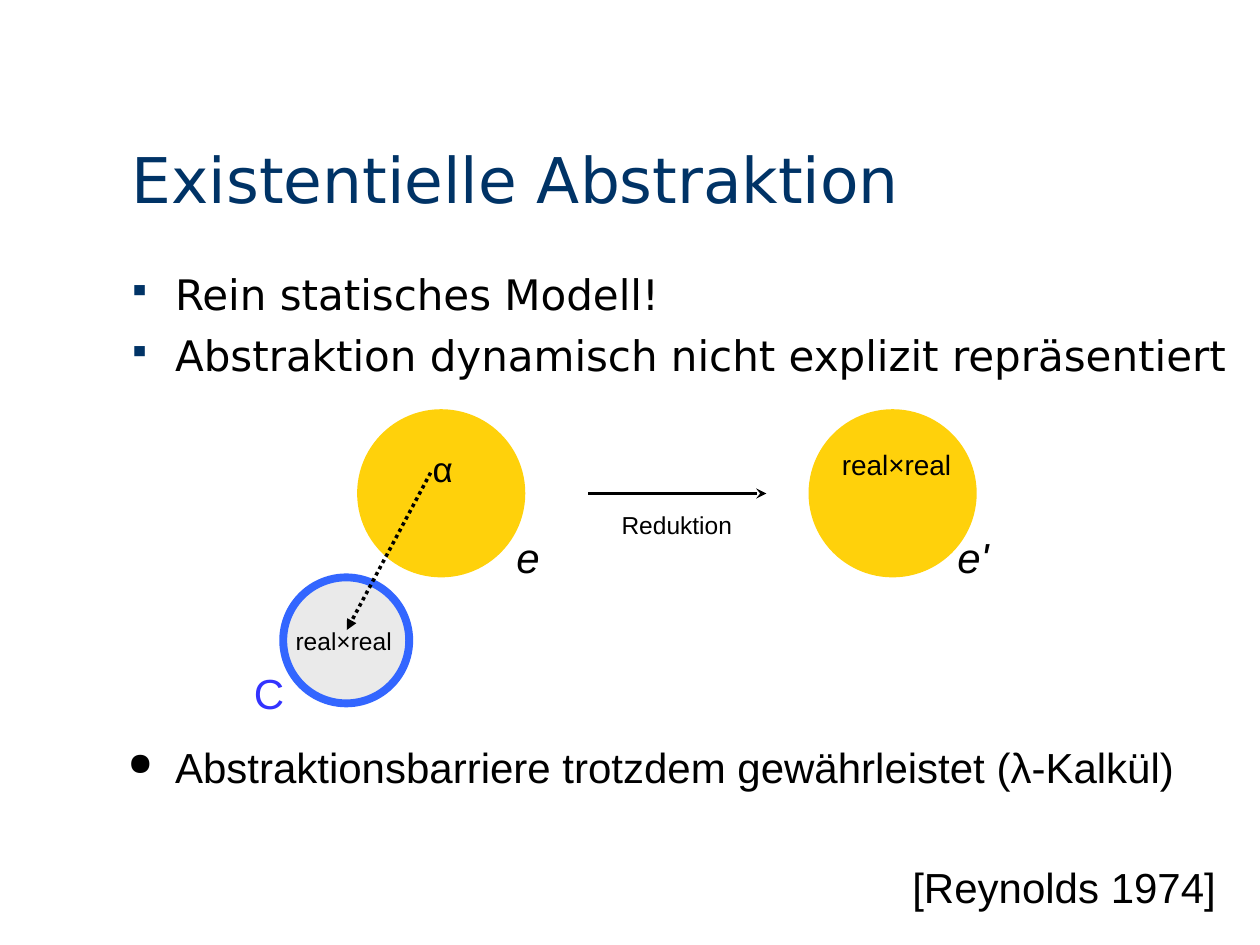
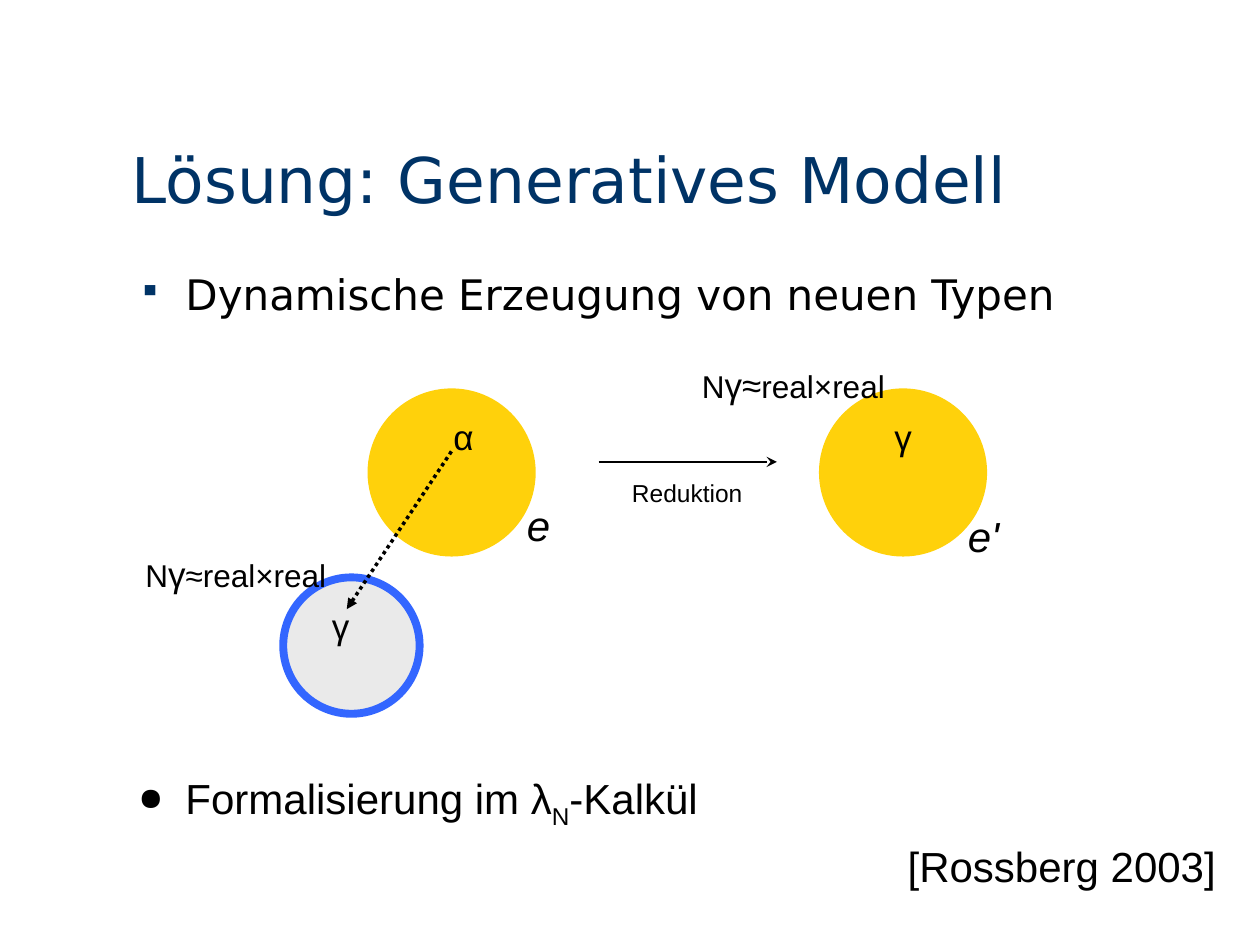
from dataclasses import dataclass

import pptx
import pptx.dml.color
import pptx.enum.dml
import pptx.enum.shapes
import pptx.enum.text
import pptx.oxml
import pptx.oxml.ns
import pptx.util
from pptx.util import Cm

NAVY = "003366"
BLACK = "000000"
YELLOW = "FFD10B"
GREY = "EAEAEA"
BARRIER_BLUE = "3366FF"
CONTEXT_BLUE = "3333FF"
HEADING_FONT = "DejaVu Sans"
DIAGRAM_FONT = "Arial"
TERM_SIZE = 3.39
LINE = pptx.enum.dml.MSO_LINE


@dataclass
class Run:
    text: str
    size: int = 24
    color: str = BLACK
    font: str = DIAGRAM_FONT
    italic: bool = False
    subscript: bool = False


def rgb(hex_color):
    return pptx.dml.color.RGBColor.from_string(hex_color)


def drawing_element(tag, **attributes):
    element = pptx.oxml.parse_xml(f"<a:{tag} {pptx.oxml.ns.nsdecls('a')}/>")
    for key, value in attributes.items():
        element.set(key, value)
    return element


def add_runs(paragraph, runs):
    for part in runs:
        run = paragraph.add_run()
        run.text = part.text
        run.font.size = pptx.util.Pt(part.size)
        run.font.name = part.font
        run.font.italic = part.italic
        run.font.color.rgb = rgb(part.color)
        if part.subscript:
            run.font._element.set("baseline", "-25000")


def add_text_frame(slide, left, top, width, height):
    box = slide.shapes.add_textbox(Cm(left), Cm(top), Cm(width), Cm(height))
    box.text_frame.word_wrap = True
    return box.text_frame


def add_label(slide, left, top, width, *runs):
    frame = add_text_frame(slide, left, top, width, 1.1)
    add_runs(frame.paragraphs[0], runs)


def add_title(slide, title):
    frame = add_text_frame(slide, 2.41, 1.19, 22.68, 3.3)
    frame.vertical_anchor = pptx.enum.text.MSO_ANCHOR.BOTTOM
    add_runs(frame.paragraphs[0], [Run(title, 36, NAVY, HEADING_FONT)])


def add_bullet(paragraph, char, color, runs):
    properties = paragraph._p.get_or_add_pPr()
    properties.set("marL", str(Cm(0.95)))
    properties.set("indent", str(-Cm(0.95)))
    bullet_color = drawing_element("buClr")
    bullet_color.append(drawing_element("srgbClr", val=color))
    properties.append(bullet_color)
    properties.append(drawing_element("buSzPct", val="75000"))
    properties.append(drawing_element("buChar", char=char))
    add_runs(paragraph, runs)


def add_statements(slide, left, width, height, statements):
    frame = add_text_frame(slide, left, 5.29, width, height)
    for index, statement in enumerate(statements):
        paragraph = frame.add_paragraph() if index else frame.paragraphs[0]
        if index:
            paragraph.space_before = pptx.util.Pt(6)
        add_bullet(paragraph, "▪", NAVY, [Run(statement, font=HEADING_FONT)])


def add_conclusion(slide, box, runs, source, source_gap):
    """Closing bullet with the right-aligned literature source below it."""
    frame = add_text_frame(slide, *box)
    add_bullet(frame.paragraphs[0], "●", BLACK, runs)
    citation = frame.add_paragraph()
    citation.alignment = pptx.enum.text.PP_ALIGN.RIGHT
    citation.space_before = pptx.util.Pt(source_gap)
    add_runs(citation, [Run(source)])


def add_circle(slide, left, top, diameter, fill, outline=None):
    circle = slide.shapes.add_shape(
        pptx.enum.shapes.MSO_SHAPE.OVAL,
        Cm(left), Cm(top), Cm(diameter), Cm(diameter))
    circle.shadow.inherit = False
    circle.fill.solid()
    circle.fill.fore_color.rgb = rgb(fill)
    if outline:
        circle.line.color.rgb = rgb(outline)
        circle.line.width = pptx.util.Pt(4.5)
    else:
        circle.line.fill.background()


def add_arrow(slide, start, end, width, head, dash=None):
    arrow = slide.shapes.add_connector(
        pptx.enum.shapes.MSO_CONNECTOR.STRAIGHT,
        *(Cm(value) for value in (*start, *end)))
    arrow.line.color.rgb = rgb(BLACK)
    arrow.line.width = pptx.util.Pt(width)
    if dash:
        arrow.line.dash_style = dash
    arrow.line._get_or_add_ln().append(drawing_element("tailEnd", type=head))
    arrow._element.spPr.append(drawing_element("effectLst"))


def add_reference(slide, start, end):
    """Dotted arrow from the type variable to its hidden representation."""
    add_arrow(slide, start, end, 2, "triangle", LINE.ROUND_DOT)


def add_reduction(slide, left, term_top, arrow_y):
    """Term e, the reduction arrow and the reduced term e'."""
    for term_left in (left, left + 9.1):
        add_circle(slide, term_left, term_top, TERM_SIZE, YELLOW)
    add_arrow(slide, (left + 4.66, arrow_y), (left + 8.25, arrow_y),
              1.5, "stealth")
    add_label(slide, left + 5.08, arrow_y + 0.21, 2.75, Run("Reduktion", 14))
    add_label(slide, left + 2.96, arrow_y + 0.64, 1.27, Run("e", italic=True))
    add_label(slide, left + 11.85, term_top + 2.33, 1.27,
              Run("e'", italic=True))


def build_existential_slide(slide):
    add_title(slide, "Existentielle Abstraktion")
    add_statements(slide, 2.33, 23.07, 2.75, [
        "Rein statisches Modell!",
        "Abstraktion dynamisch nicht explizit repräsentiert"])
    add_conclusion(
        slide, (2.33, 14.82, 22.43, 4.23),
        [Run("Abstraktionsbarriere trotzdem gewährleistet (λ-Kalkül)")],
        "[Reynolds 1974]", 39.6)
    add_circle(slide, 5.71, 11.64, 2.54, GREY, BARRIER_BLUE)
    add_reduction(slide, 7.2, 8.25, 9.95)
    add_label(slide, 4.87, 13.33, 1.27, Run("C", color=CONTEXT_BLUE))
    add_label(slide, 5.71, 12.49, 2.75, Run("real×real", 14))
    add_label(slide, 8.47, 8.89, 2.75, Run("α", 20))
    add_label(slide, 16.72, 8.89, 3, Run("real×real", 16))
    add_reference(slide, (8.68, 9.53), (6.99, 12.7))


def build_generative_slide(slide):
    add_title(slide, "Lösung: Generatives Modell")
    add_statements(slide, 2.54, 22.53, 3.6,
                   ["Dynamische Erzeugung von neuen Typen"])
    add_conclusion(
        slide, (2.54, 15.45, 22.22, 2.33),
        [Run("Formalisierung im λ"), Run("N", subscript=True),
         Run("-Kalkül")],
        "[Rossberg 2003]", 6)
    add_circle(slide, 5.71, 11.64, 2.75, GREY, BARRIER_BLUE)
    add_reduction(slide, 7.41, 7.83, 9.31)
    add_label(slide, 6.44, 12.07, 1.27, Run("γ", 20))
    add_label(slide, 8.89, 8.26, 2.75, Run("α", 20))
    add_label(slide, 17.78, 8.26, 2.75, Run("γ", 20))
    add_reference(slide, (9.1, 9.1), (6.99, 12.28))
    add_label(slide, 2.68, 11.01, 5.29,
              Run("N", 18), Run("γ", 20), Run("≈real×real", 18))
    add_label(slide, 13.9, 7.2, 5.29,
              Run("N", 18), Run("γ≈", 20), Run("real×real", 18))


def main():
    deck = pptx.Presentation()
    deck.slide_width, deck.slide_height = Cm(25.4), Cm(19.05)
    blank = deck.slide_layouts[6]
    for build in (build_existential_slide, build_generative_slide):
        build(deck.slides.add_slide(blank))
    deck.save("out.pptx")


if __name__ == "__main__":
    main()
